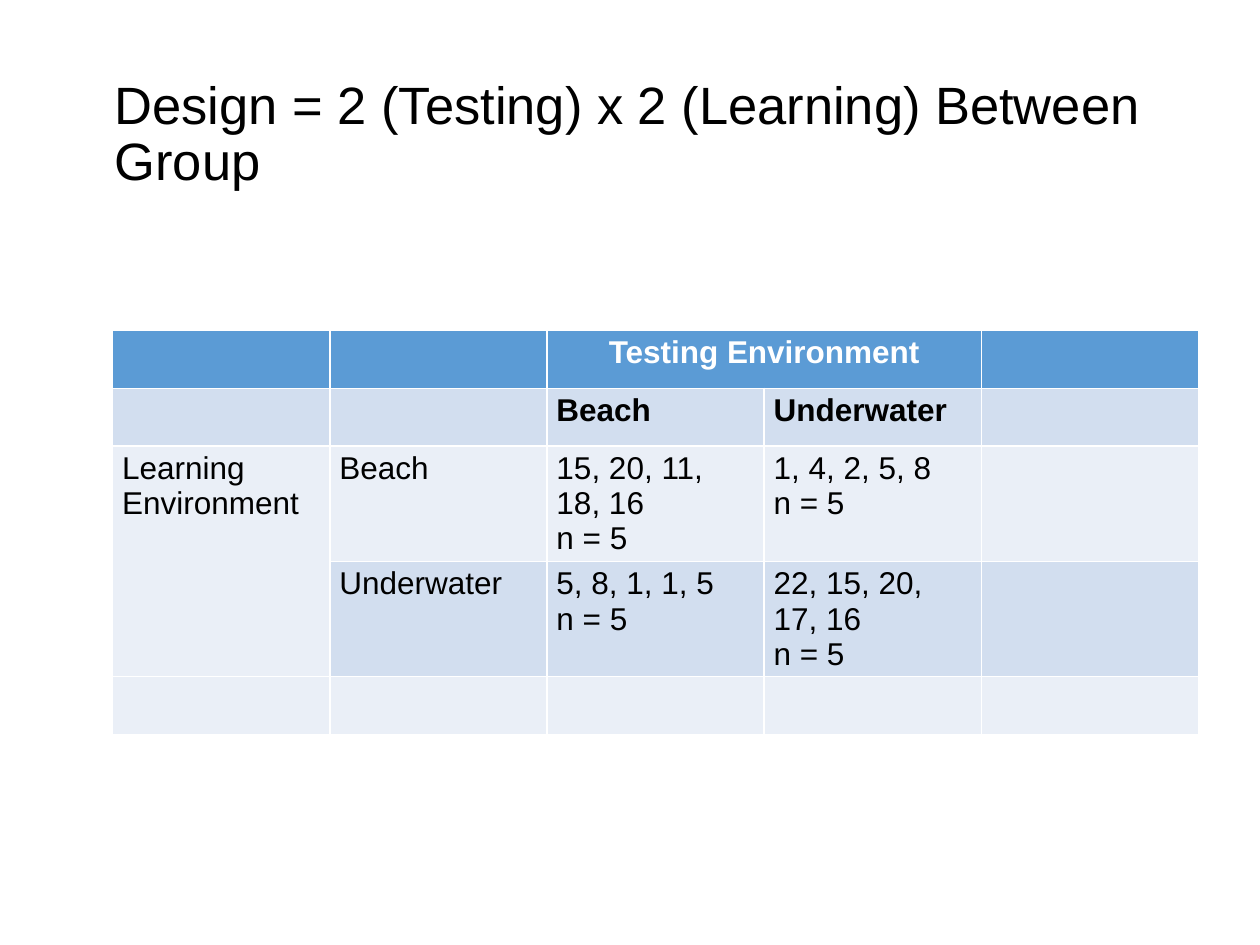
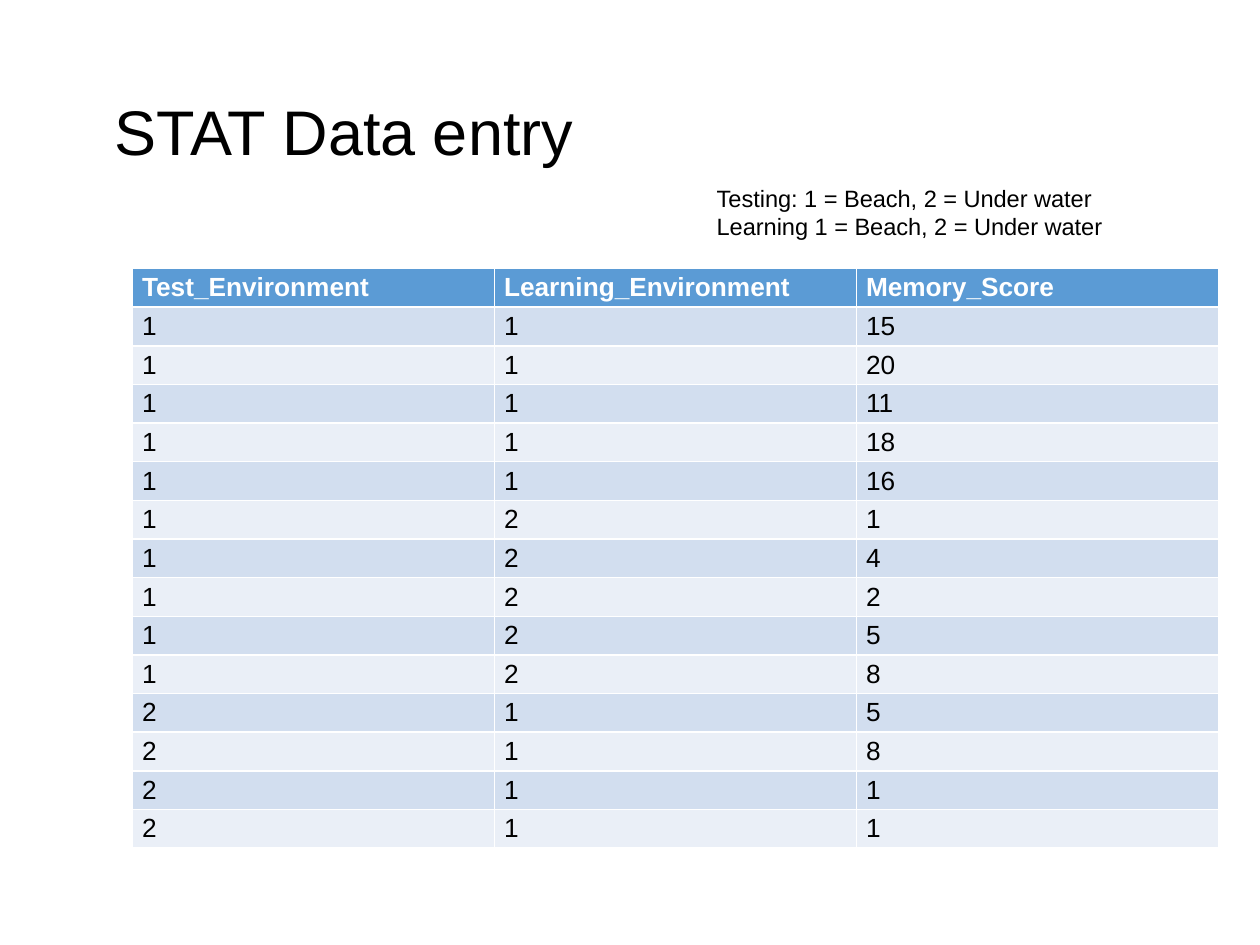
from pptx import Presentation
from pptx.dml.color import RGBColor
from pptx.enum.text import MSO_ANCHOR, MSO_AUTO_SIZE, PP_ALIGN
from pptx.util import Pt

COLOURS = {"text": "000000", "header": "5B9BD5", "header_text": "FFFFFF",
           "band_dark": "D2DEEF", "band_light": "EAEFF7"}
TABLE_WIDTH = 620.6
TITLE_PLACE = {"left": 58.3, "top": 25.2, "width": 620.6, "height": 104.4}
CELL_FORMAT = {"margin_left": 5.4, "margin_right": 5.4,
               "margin_top": 2.7, "margin_bottom": 2.7}


def write(frame, text, size, colour="text", bold=False,
          align=PP_ALIGN.LEFT, line_spacing=None):
    frame.text = text
    for para in frame.paragraphs:
        para.alignment = align
        para.line_spacing = line_spacing
        font_format = {"name": "Arial", "size": Pt(size), "bold": bold}
        for span in para.runs:
            for name, value in font_format.items():
                setattr(span.font, name, value)
            span.font.color.rgb = RGBColor.from_string(COLOURS[colour])


def add_grid(page, rows, left, top, heights, size, bold_rows):
    columns = len(rows[0])
    table = page.shapes.add_table(len(rows), columns, Pt(left), Pt(top),
                                  Pt(TABLE_WIDTH), Pt(sum(heights))).table
    for column in table.columns:
        column.width = Pt(TABLE_WIDTH / columns)
    for index, (texts, height) in enumerate(zip(rows, heights)):
        table.rows[index].height = Pt(height)
        if index == 0:
            fill, colour = "header", "header_text"
        else:
            fill, colour = ("band_dark" if index % 2 else "band_light"), "text"
        for cell, text in zip(table.rows[index].cells, texts):
            cell.fill.solid()
            cell.fill.fore_color.rgb = RGBColor.from_string(COLOURS[fill])
            for name, value in CELL_FORMAT.items():
                setattr(cell, name, Pt(value))
            if text:
                write(cell.text_frame, text, size, colour, index < bold_rows)
    return table


deck = Presentation()
deck.slide_width, deck.slide_height = Pt(720), Pt(540)

# Pages with their titles
pages = []
for title_text, title_size in [
        ("Design = 2 (Testing) x 2 (Learning) Between Group", 30),
        ("STAT Data entry", 36)]:
    page = deck.slides.add_slide(deck.slide_layouts[5])
    title = page.shapes.title
    for name, value in TITLE_PLACE.items():
        setattr(title, name, Pt(value))
    title.text_frame.auto_size = MSO_AUTO_SIZE.NONE
    title.text_frame.vertical_anchor = MSO_ANCHOR.MIDDLE
    write(title.text_frame, title_text, title_size, line_spacing=0.9)
    pages.append(page)
design_page, entry_page = pages

# Design table: learning by testing environment
design_rows = [
    ["", "", "Testing Environment", "", ""],
    ["", "", "Beach", "Underwater", ""],
    ["Learning\nEnvironment", "Beach", "15, 20, 11, 18, 16\nn = 5",
     "1, 4, 2, 5, 8\nn = 5", ""],
    ["", "Underwater", "5, 8, 1, 1, 5\nn = 5",
     "22, 15, 20, 17, 16\nn = 5", ""],
    ["", "", "", "", ""],
]
design = add_grid(design_page, design_rows, 64.4, 188.8,
                  [33.1, 33.1, 65.8, 65.8, 33.1], 18, bold_rows=2)
design.cell(0, 2).merge(design.cell(0, 3))
design.cell(0, 2).text_frame.paragraphs[0].alignment = PP_ALIGN.CENTER
design.cell(2, 0).merge(design.cell(3, 0))

# Data table: one row per score, grouped by test and learning codes
scores = {(1, 1): [15, 20, 11, 18, 16],
          (1, 2): [1, 4, 2, 5, 8],
          (2, 1): [5, 8, 1, 1]}
entry_rows = [["Test_Environment", "Learning_Environment", "Memory_Score"]]
for (test, learning), group in scores.items():
    for score in group:
        entry_rows.append([str(test), str(learning), str(score)])
add_grid(entry_page, entry_rows, 75.8, 153.4,
         [22] * len(entry_rows), 15, bold_rows=1)

# Key to the codes
box = entry_page.shapes.add_textbox(Pt(402.5), Pt(101.5), Pt(244.8), Pt(40.3))
box.text_frame.word_wrap = True
write(box.text_frame, "Testing: 1 = Beach, 2 = Under water\n"
                      "Learning 1 = Beach, 2 = Under water", 13.5)

deck.save("out.pptx")
